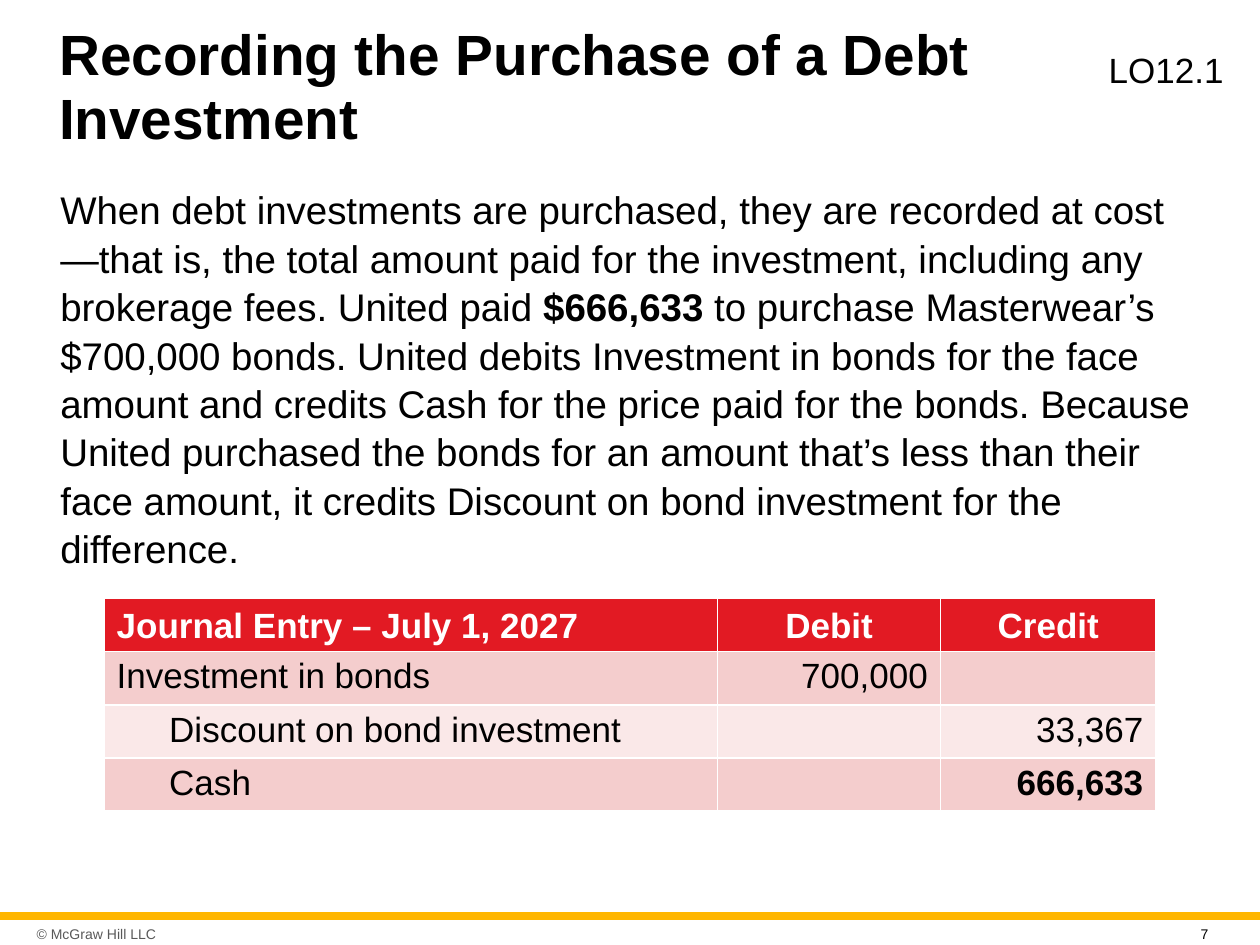
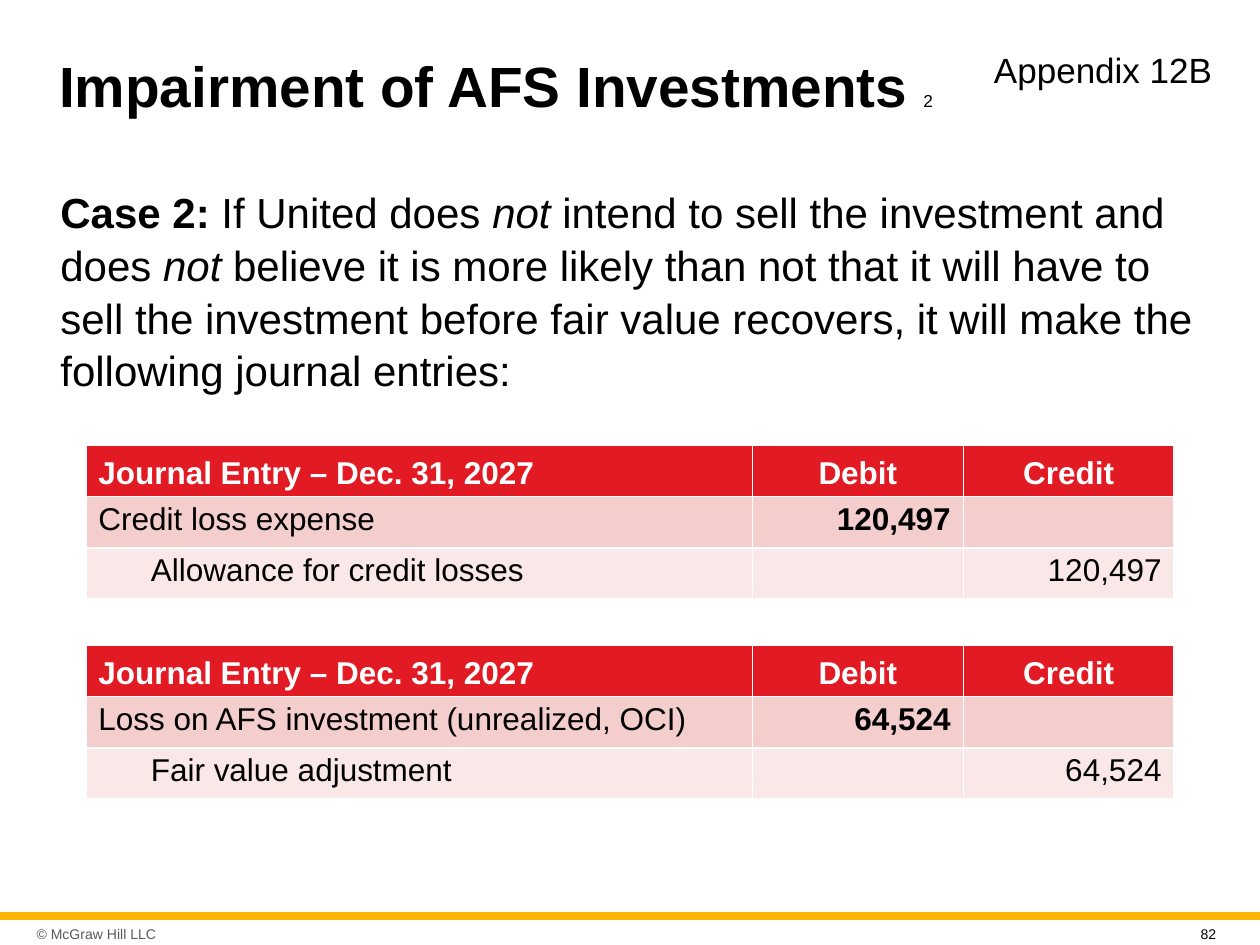
from dataclasses import dataclass

from pptx import Presentation
from pptx.dml.color import RGBColor as Rgb
from pptx.enum.shapes import MSO_SHAPE as Shape
from pptx.enum.text import MSO_ANCHOR as Anchor, MSO_AUTO_SIZE as AutoSize, PP_ALIGN as Align
from pptx.util import Pt


@dataclass(frozen=True)
class Theme:
    font: str = "Arial"
    ink: Rgb = Rgb(0, 0, 0)
    paper: Rgb = Rgb(255, 255, 255)
    muted: Rgb = Rgb(0x59, 0x59, 0x59)
    band: Rgb = Rgb(0xFF, 0xB6, 0x00)
    header: Rgb = Rgb(0xE2, 0x1A, 0x23)
    row_fills: tuple = (Rgb(0xF4, 0xCD, 0xCD), Rgb(0xFA, 0xE8, 0xE8))
    title_size: float = 32.4
    title_number_size: float = 9.9
    reference_size: float = 20
    footer_size: float = 8
    title_spacing: float = 0.94
    text_spacing: float = 1.05


THEME = Theme()
SLIDE_WIDTH, SLIDE_HEIGHT = 720, 540
ROW_HEIGHT = 29.3
CREDIT_INDENT = 30


def add_run(paragraph, text, size, color=THEME.ink, bold=False, italic=False):
    run = paragraph.add_run()
    run.text = text
    font = run.font
    font.name, font.size, font.color.rgb = THEME.font, Pt(size), color
    font.bold, font.italic = bold, italic


def add_text(slide, box, runs, size, color=THEME.ink, spacing=1.0):
    """Add a text box; each run is (text, optional font settings)."""
    shape = slide.shapes.add_textbox(*map(Pt, box))
    frame = shape.text_frame
    frame.word_wrap = True
    paragraph = frame.paragraphs[0]
    paragraph.line_spacing = spacing
    for text, style in runs:
        add_run(paragraph, text, size, color, **style)
    return frame


def add_title(slide, width, text, number=None):
    title = slide.shapes.title
    title.left, title.top, title.width, title.height = map(Pt, (26.6, 15.1, width, 71.3))
    frame = title.text_frame
    frame.auto_size, frame.word_wrap = AutoSize.NONE, True
    frame.vertical_anchor = Anchor.MIDDLE
    paragraph = frame.paragraphs[0]
    paragraph.alignment = Align.LEFT
    paragraph.line_spacing = THEME.title_spacing
    add_run(paragraph, text, THEME.title_size, bold=True)
    if number:
        add_run(paragraph, number, THEME.title_number_size)


def add_reference(slide, left, width, text):
    frame = add_text(slide, (left, 23, width, 29.5), [(text, {})],
                     THEME.reference_size, spacing=THEME.text_spacing)
    frame.margin_right = 0


def add_body(slide, height, size, runs):
    add_text(slide, (27.4, 101.5, 666, height), runs, size, spacing=THEME.text_spacing)


def add_footer(slide, number):
    band = slide.shapes.add_shape(Shape.RECTANGLE, 0, Pt(521.2), Pt(SLIDE_WIDTH), Pt(4.4))
    band.shadow.inherit = False
    band.fill.solid()
    band.fill.fore_color.rgb = THEME.band
    band.line.fill.background()
    frame = add_text(slide, (17.3, 524.9, 97.2, 17.3), [("© McGraw Hill LLC", {})],
                     THEME.footer_size, THEME.muted)
    frame.margin_left = frame.margin_right = Pt(3.6)
    frame.vertical_anchor = Anchor.MIDDLE
    add_text(slide, (679, 525.6, 28, 13), [(str(number), {})], THEME.footer_size)


def fill_cell(cell, fill, text, size, color, bold, align):
    cell.fill.solid()
    cell.fill.fore_color.rgb = fill
    cell.margin_top = cell.margin_bottom = Pt(3.2)
    if text:
        paragraph = cell.text_frame.paragraphs[0]
        paragraph.alignment = align
        add_run(paragraph, text, size, color, bold)


def add_journal_entry(slide, left, top, widths, size, date, entries, bold_cell):
    """Add a journal table; credited accounts are indented.

    The default table style draws the white rules between cells.
    """
    rows = [(f"Journal Entry – {date}", "Debit", "Credit"), *entries]
    table = slide.shapes.add_table(
        len(rows), len(widths), Pt(left), Pt(top),
        Pt(sum(widths)), Pt(ROW_HEIGHT * len(rows))).table
    for column, width in zip(table.columns, widths):
        column.width = Pt(width)
    for row_index, row in enumerate(rows):
        table.rows[row_index].height = Pt(ROW_HEIGHT)
        is_header = row_index == 0
        fill = THEME.header if is_header else THEME.row_fills[(row_index - 1) % 2]
        amount_align = Align.CENTER if is_header else Align.RIGHT
        for column_index, text in enumerate(row):
            cell = table.cell(row_index, column_index)
            fill_cell(cell, fill, text, size,
                      THEME.paper if is_header else THEME.ink,
                      is_header or (row_index, column_index) == bold_cell,
                      amount_align if column_index else Align.LEFT)
            if is_header:
                cell.vertical_anchor = Anchor.BOTTOM
        if not is_header and row[2]:
            table.cell(row_index, 0).margin_left = Pt(7.2 + CREDIT_INDENT)


def build_purchase_slide(slide):
    add_title(slide, 568.8, "Recording the Purchase of a Debt Investment")
    add_reference(slide, 626.4, 82, "LO12.1")
    add_body(slide, 216.7, 22, [
        ("When debt investments are purchased, they are recorded at cost—that is, the total "
         "amount paid for the investment, including any brokerage fees. United paid ", {}),
        ("$666,633 ", {"bold": True}),
        ("to purchase Masterwear’s $700,000 bonds. United debits Investment in bonds for the "
         "face amount and credits Cash for the price paid for the bonds. Because United "
         "purchased the bonds for an amount that’s less than their face amount, it credits "
         "Discount on bond investment for the difference.", {}),
    ])
    add_journal_entry(slide, 59.5, 342, (350.6, 127.4, 123.1), 20, "July 1, 2027", [
        ("Investment in bonds", "700,000", ""),
        ("Discount on bond investment", "", "33,367"),
        ("Cash", "", "666,633"),
    ], bold_cell=(3, 2))
    add_footer(slide, 7)


def build_impairment_slide(slide):
    add_title(slide, 529.2, "Impairment of AFS Investments ", "2")
    add_reference(slide, 560.9, 147.6, "Appendix 12B")
    add_body(slide, 126, 24, [
        ("Case 2: ", {"bold": True}),
        ("If United does ", {}),
        ("not ", {"italic": True}),
        ("intend to sell the investment and does ", {}),
        ("not ", {"italic": True}),
        ("believe it is more likely than not that it will have to sell the investment before "
         "fair value recovers, it will make the following journal entries:", {}),
    ])
    journal = [
        ("Credit loss expense", "Allowance for credit losses", "120,497"),
        ("Loss on AFS investment (unrealized, OCI)", "Fair value adjustment", "64,524"),
    ]
    for index, (debited, credited, amount) in enumerate(journal):
        add_journal_entry(slide, 49, 254.5 + index * 114.3, (381, 120.5, 120.5), 18,
                          "Dec. 31, 2027",
                          [(debited, amount, ""), (credited, "", amount)], bold_cell=(1, 1))
    add_footer(slide, 82)


def main():
    presentation = Presentation()
    presentation.slide_width, presentation.slide_height = Pt(SLIDE_WIDTH), Pt(SLIDE_HEIGHT)
    title_only = presentation.slide_layouts[5]
    for build in (build_purchase_slide, build_impairment_slide):
        build(presentation.slides.add_slide(title_only))
    presentation.save("out.pptx")


if __name__ == "__main__":
    main()
